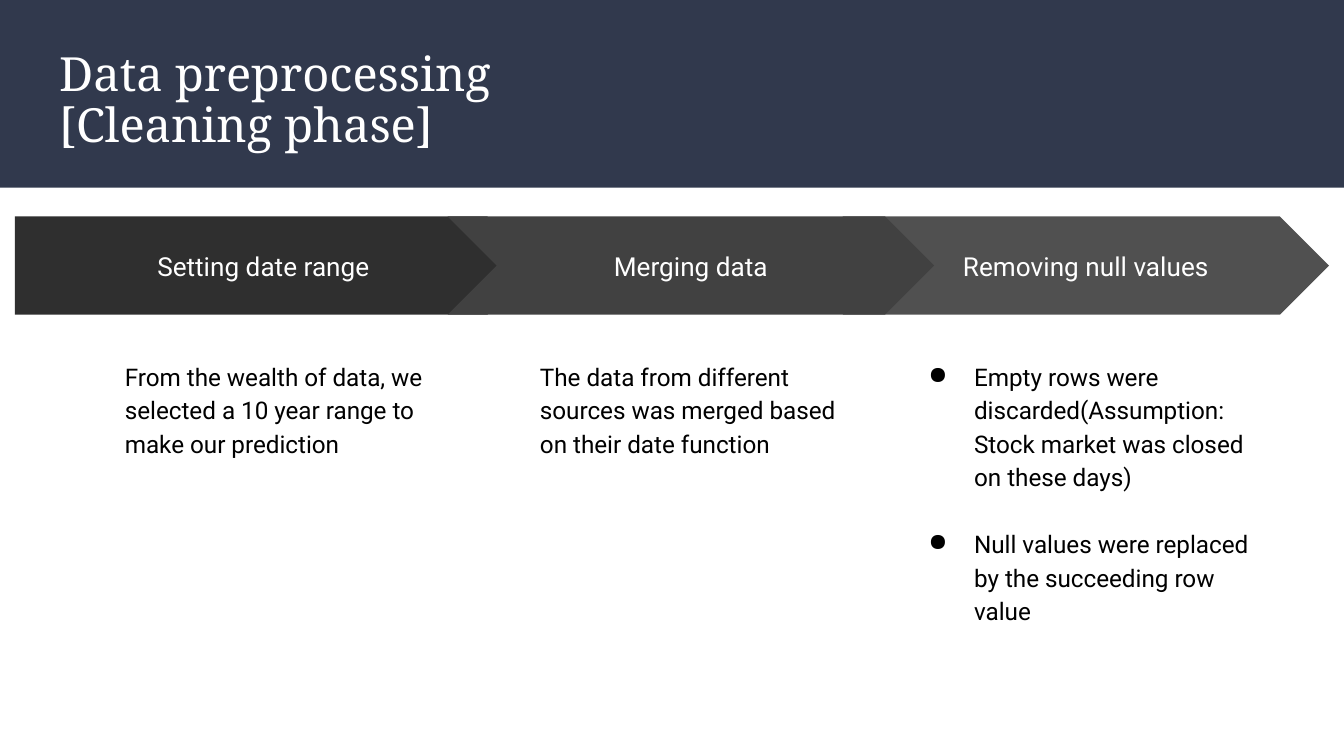
from pptx import Presentation
from pptx.util import Pt
from pptx.dml.color import RGBColor
from pptx.enum.shapes import MSO_SHAPE
from pptx.enum.text import PP_ALIGN, MSO_ANCHOR
from lxml.etree import SubElement
from pptx.oxml.ns import qn

THEME = {
    "banner": "31394D", "light": "FFFFFF", "dark": "000000",
    "steps": ["2F2F2F", "414141", "505050"],
    "heading_font": "Noto Serif", "body_font": "Roboto",
    "title": 25.2, "step": 14, "body": 13,
}
INSET = 7.2


def add_block(kind, left, top, width, height, fill=None):
    if kind is None:
        shape = slide.shapes.add_textbox(Pt(left), Pt(top), Pt(width), Pt(height))
    else:
        shape = slide.shapes.add_shape(kind, Pt(left), Pt(top), Pt(width), Pt(height))
        shape.shadow.inherit = False
        shape.fill.solid()
        shape.fill.fore_color.rgb = RGBColor.from_string(fill)
        shape.line.fill.background()
    frame = shape.text_frame
    frame.word_wrap = True
    frame.margin_left = frame.margin_right = Pt(INSET)
    frame.margin_top = frame.margin_bottom = Pt(INSET)
    return shape


def write(shape, lines, font, size, color, spacing=1.0, align=PP_ALIGN.LEFT):
    frame = shape.text_frame
    for index, line in enumerate(lines):
        paragraph = frame.paragraphs[0] if index == 0 else frame.add_paragraph()
        paragraph.text = line
        paragraph.alignment = align
        paragraph.line_spacing = spacing
        paragraph.font.name = font
        paragraph.font.size = Pt(size)
        paragraph.font.color.rgb = RGBColor.from_string(color)


presentation = Presentation()
presentation.slide_width = Pt(720)
presentation.slide_height = Pt(405)
slide = presentation.slides.add_slide(presentation.slide_layouts[6])

add_block(MSO_SHAPE.RECTANGLE, 0, 0, 720, 100.6, THEME["banner"])
title = add_block(None, 24.6, 20.2, 671, 49)
write(title, ["Data preprocessing", "[Cleaning phase]"],
      THEME["heading_font"], THEME["title"], THEME["light"], 0.9)

steps = [
    ("Setting date range", MSO_SHAPE.PENTAGON, 8, 279.4, 59.8, 176.4,
     ["From the wealth of data, we selected a 10 year range to make our prediction"]),
    ("Merging data", MSO_SHAPE.CHEVRON, 239.8, 260.6, 282.2, 176.4,
     ["The data from different sources was merged based on their date function"]),
    ("Removing null values", MSO_SHAPE.CHEVRON, 451.4, 260.6, 478.8, 203.8,
     ["Empty rows were discarded(Assumption: Stock market was closed on these days)",
      "Null values were replaced by the succeeding row value"]),
]

for index in (2, 0, 1):
    label, kind, left, width, text_left, text_width, lines = steps[index]
    arrow = add_block(kind, left, 116, width, 52.6, THEME["steps"][index])
    arrow.adjustments[0] = 0.5
    arrow.text_frame.vertical_anchor = MSO_ANCHOR.MIDDLE
    write(arrow, [label], THEME["body_font"], THEME["step"], THEME["light"],
          align=PP_ALIGN.CENTER)

    details = add_block(None, text_left, 184.4, text_width, 206)
    write(details, lines, THEME["body_font"], THEME["body"], THEME["dark"], 1.15)
    if len(lines) > 1:
        for number, paragraph in enumerate(details.text_frame.paragraphs):
            paragraph.space_before = Pt(18 * number)
            properties = paragraph._p.get_or_add_pPr()
            properties.set("marL", str(Pt(36)))
            properties.set("indent", str(Pt(-24.5)))
            bullet = SubElement(properties, qn("a:buChar"))
            bullet.set("char", "●")
            properties.find(qn("a:defRPr")).addprevious(bullet)

presentation.save("out.pptx")
